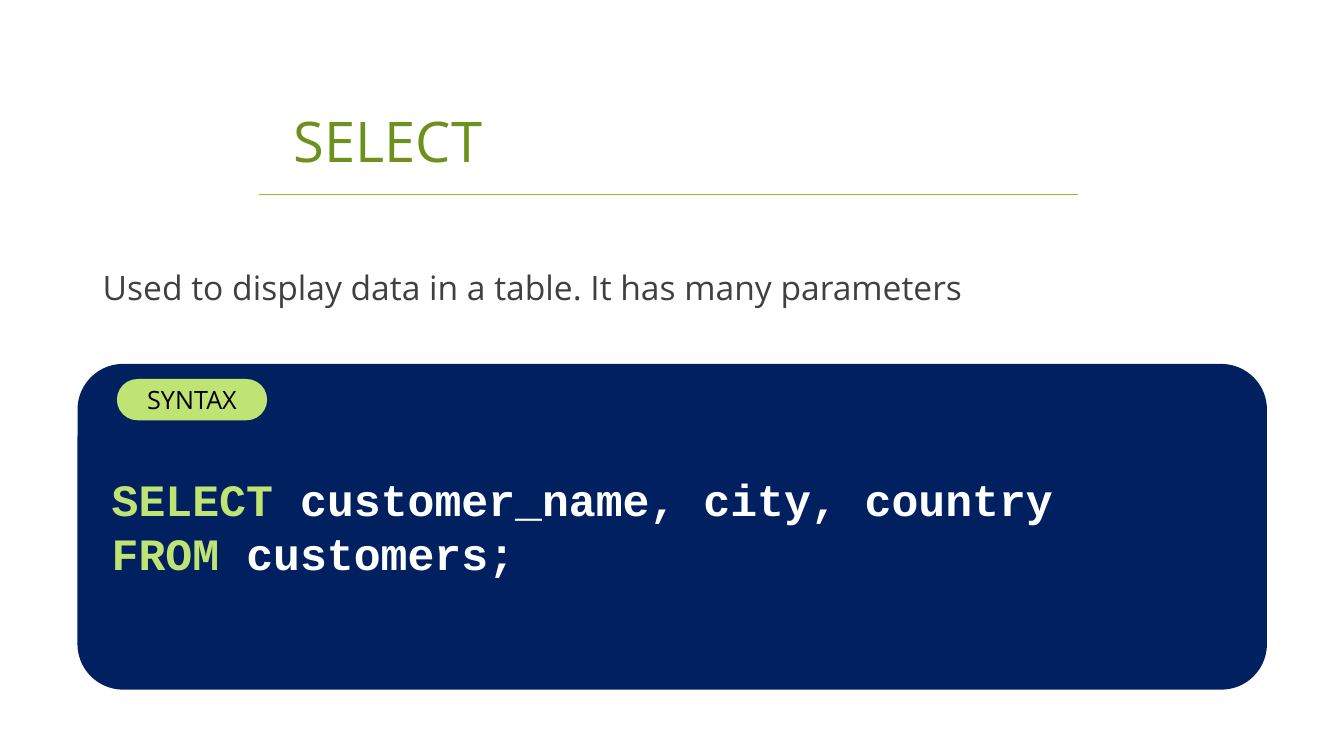
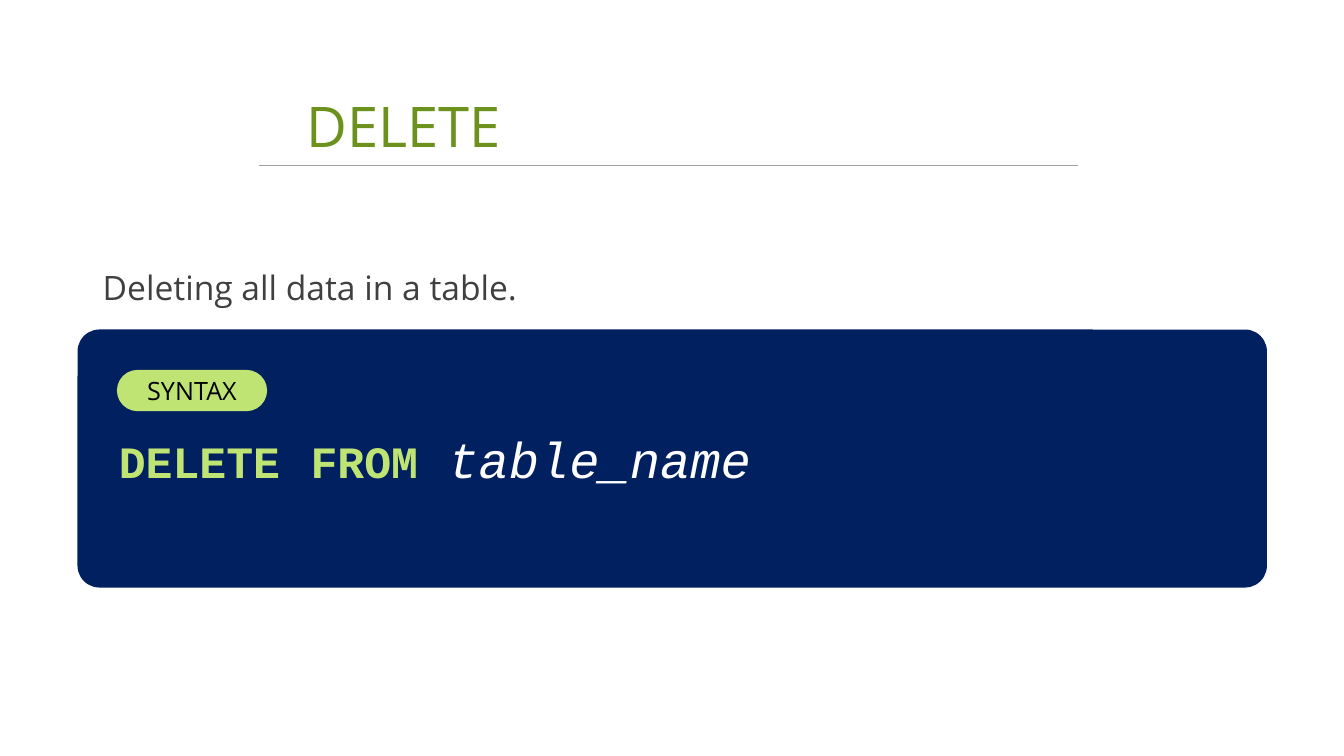
"""Build two SQL statement slides: SELECT and DELETE."""
from lxml.etree import SubElement
from pptx import Presentation
from pptx.dml.color import RGBColor
from pptx.enum.shapes import MSO_CONNECTOR, MSO_SHAPE
from pptx.enum.text import MSO_ANCHOR as ANCHOR, MSO_AUTO_SIZE as AUTO, PP_ALIGN as ALIGN
from pptx.oxml.ns import qn
from pptx.util import Pt

COLORS = {
    "title": "6C921D", "rule": "90C226", "faint": "A0A0A0", "body": "404040",
    "panel": "002060", "keyword": "C0E474", "white": "FFFFFF", "black": "000000",
}
SANS, MONO = "Open Sans", "Courier New"

STATEMENTS = [
    {
        "title": "SELECT", "title_box": (202.7, 79.9, 552, 41),
        "rule": (139, "rule", 1),
        "summary": "Used to display data in a table. It has many parameters",
        "panel": (260, 232.6, 0.14), "label_top": 270.7,
        "code_box": (72.7, 333.4, 761.8, 85),
        "code": [
            [("SELECT ", 32, "keyword", True, False),
             ("customer_name, city, country", 32, "white", True, False)],
            [("FROM ", 32, "keyword", True, False),
             ("customers;", 32, "white", True, False)],
        ],
    },
    {
        "title": "DELETE", "title_box": (211.7, 59.8, 612, 59),
        "rule": (118, "faint", 0.5),
        "summary": "Deleting all data in a table.",
        "panel": (235.4, 184.3, 0.085), "label_top": 264.2,
        "code_box": (77.8, 302.4, 832.3, 51),
        "code": [
            [("DELETE", 32, "keyword", True, False),
             (" ", 36, "white", False, False),
             ("FROM", 32, "keyword", True, False),
             (" ", 36, "white", False, False),
             ("table_name", 36, "white", False, True)],
        ],
    },
]


def add_run(paragraph, text, size, color, font=SANS, bold=False, italic=False):
    run = paragraph.add_run()
    run.text = text
    run.font.name, run.font.size = font, Pt(size)
    run.font.bold, run.font.italic = bold, italic
    run.font.color.rgb = RGBColor.from_string(COLORS[color])


def add_rounded(slide, left, top, width, height, corner, color):
    box = slide.shapes.add_shape(
        MSO_SHAPE.ROUNDED_RECTANGLE, Pt(left), Pt(top), Pt(width), Pt(height))
    box.adjustments[0] = corner
    box.shadow.inherit = False
    box.fill.solid()
    box.fill.fore_color.rgb = RGBColor.from_string(COLORS[color])
    box.line.fill.background()
    return box


deck = Presentation()
deck.slide_width, deck.slide_height = Pt(960), Pt(540)

for statement in STATEMENTS:
    slide = deck.slides.add_slide(deck.slide_layouts[1])
    title, summary = slide.shapes.title, slide.placeholders[1]
    for holder, box in ((title, statement["title_box"]), (summary, (66.2, 187.2, 828, 59))):
        holder.left, holder.top, holder.width, holder.height = map(Pt, box)
        holder.text_frame.auto_size = AUTO.NONE

    title.text_frame.vertical_anchor = ANCHOR.MIDDLE
    heading = title.text_frame.paragraphs[0]
    heading.alignment = ALIGN.LEFT
    add_run(heading, statement["title"], 40, "title")

    summary.text_frame.vertical_anchor = ANCHOR.TOP
    sentence = summary.text_frame.paragraphs[0]
    sentence.space_before = Pt(10)
    add_run(sentence, statement["summary"], 24, "body")
    properties = sentence._p.get_or_add_pPr()
    properties.set("marL", "0")
    properties.set("indent", "0")
    SubElement(properties, qn("a:buNone"))

    rule_top, rule_color, rule_width = statement["rule"]
    rule = slide.shapes.add_connector(
        MSO_CONNECTOR.STRAIGHT, Pt(185), Pt(rule_top), Pt(769.7), Pt(rule_top))
    rule.line.color.rgb = RGBColor.from_string(COLORS[rule_color])
    rule.line.width = Pt(rule_width)
    SubElement(rule._element.spPr, qn("a:effectLst"))

    panel_top, panel_height, panel_corner = statement["panel"]
    add_rounded(slide, 55.4, panel_top, 849.6, panel_height, panel_corner, "panel")

    label = add_rounded(slide, 83.5, statement["label_top"], 107.3, 29.5, 0.5, "keyword")
    label.text_frame.vertical_anchor = ANCHOR.MIDDLE
    caption = label.text_frame.paragraphs[0]
    caption.alignment = ALIGN.CENTER
    add_run(caption, "SYNTAX", 18, "black")

    code = slide.shapes.add_textbox(*map(Pt, statement["code_box"])).text_frame
    code.word_wrap = True
    code.auto_size = AUTO.SHAPE_TO_FIT_TEXT
    for number, tokens in enumerate(statement["code"]):
        code_line = code.add_paragraph() if number else code.paragraphs[0]
        for text, size, color, bold, italic in tokens:
            add_run(code_line, text, size, color, MONO, bold, italic)

deck.save("out.pptx")
